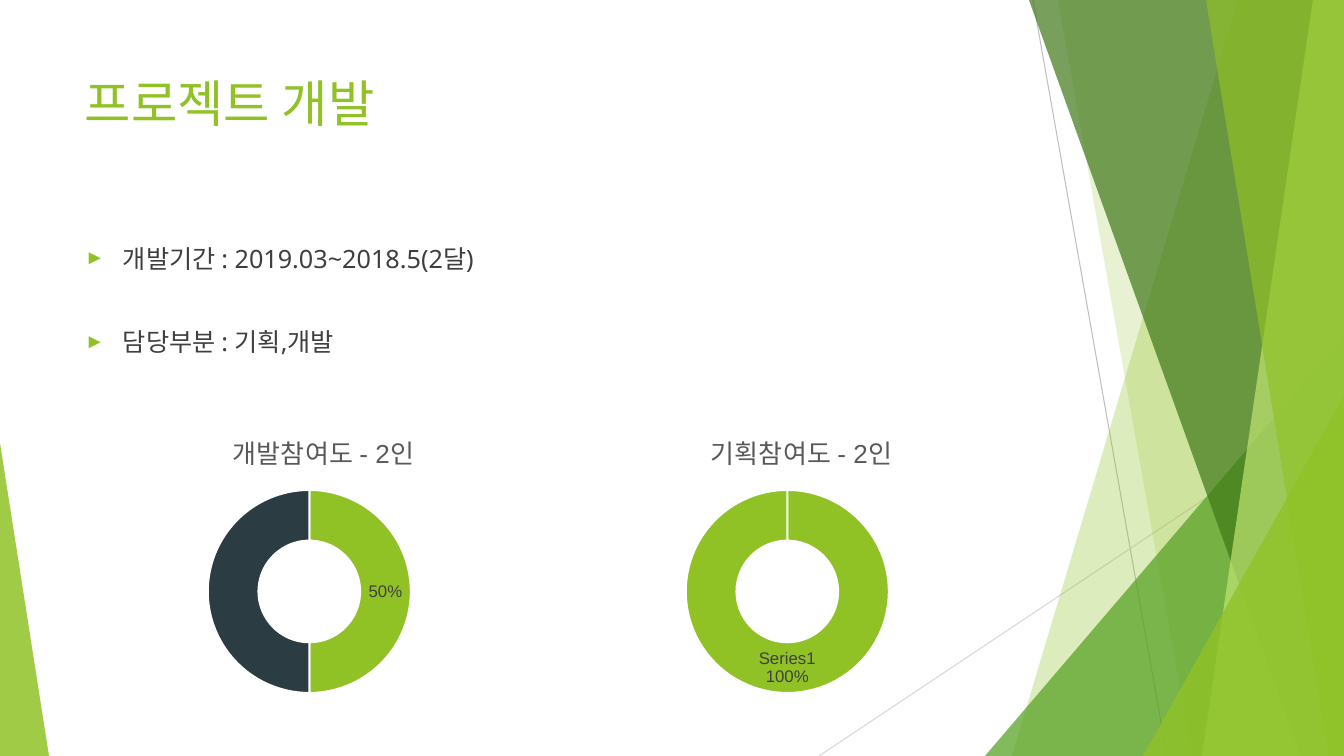
from lxml import etree
from pptx import Presentation
from pptx.chart.data import CategoryChartData
from pptx.dml.color import RGBColor
from pptx.enum.chart import XL_CHART_TYPE
from pptx.enum.shapes import MSO_CONNECTOR, MSO_SHAPE
from pptx.oxml import parse_xml
from pptx.oxml.ns import nsdecls, qn
from pptx.util import Emu, Pt

DOUGHNUT = XL_CHART_TYPE.DOUGHNUT
STRAIGHT = MSO_CONNECTOR.STRAIGHT
TRIANGLE = MSO_SHAPE.ISOSCELES_TRIANGLE

LIME = RGBColor(0x90, 0xC2, 0x26)
PALE_LIME = RGBColor(0xBF, 0xE4, 0x71)
GREEN = RGBColor(0x54, 0xA0, 0x21)
DARK_GREEN = RGBColor(0x3F, 0x78, 0x18)
SLATE = RGBColor(0x2C, 0x3C, 0x43)
WHITE = RGBColor(0xFF, 0xFF, 0xFF)
BODY_GRAY = RGBColor(0x3F, 0x3F, 0x3F)
LABEL_GRAY = RGBColor(0x40, 0x40, 0x40)
TITLE_GRAY = RGBColor(0x59, 0x59, 0x59)
LINE_GRAY = RGBColor(0xBF, 0xBF, 0xBF)
LIGHT_GRAY = RGBColor(0xD8, 0xD8, 0xD8)

TEXT_FONT = "Noto Sans"
CHART_FONT = "Arial"
SLIDE_WIDTH, SLIDE_HEIGHT = 1344, 756
EMU_PER_PIXEL = 914400 / 100.8


def px(pixels):
    """Turn pixels into EMU."""
    return Emu(round(pixels * EMU_PER_PIXEL))


def set_font(font, name, size, color):
    """Set the typeface, point size and colour of a font."""
    font.name, font.size = name, Pt(size)
    font.color.rgb = color


def add_text(slide, box, lines, size, color, bullet=None, gap=0):
    """Add a text box with one paragraph per line, bulleted on request."""
    frame = slide.shapes.add_textbox(*map(px, box)).text_frame
    frame.word_wrap = True
    for index, line in enumerate(lines):
        paragraph = frame.paragraphs[0] if index == 0 else frame.add_paragraph()
        paragraph.space_before = Pt(gap if index else 0)
        run = paragraph.add_run()
        run.text = line
        set_font(run.font, TEXT_FONT, size, color)
        if bullet:
            properties = paragraph._p.get_or_add_pPr()
            properties.set("marL", str(px(38)))
            properties.set("indent", str(-px(38)))
            bullet_color = etree.SubElement(properties, qn("a:buClr"))
            etree.SubElement(bullet_color, qn("a:srgbClr")).set("val", str(LIME))
            etree.SubElement(properties, qn("a:buSzPct")).set("val", "80000")
            etree.SubElement(properties, qn("a:buFont")).set("typeface", CHART_FONT)
            etree.SubElement(properties, qn("a:buChar")).set("char", bullet)


def paint(shape, color, opacity):
    """Give a shape a translucent fill without line or shadow."""
    shape.shadow.inherit = False
    shape.line.fill.background()
    shape.fill.solid()
    shape.fill.fore_color.rgb = color
    fill_color = shape.fill._xPr.find(".//" + qn("a:srgbClr"))
    etree.SubElement(fill_color, qn("a:alpha")).set("val", str(opacity * 1000))


def add_line(slide, start, end, color):
    """Add a thin straight line."""
    line = slide.shapes.add_connector(STRAIGHT, *map(px, start + end))
    line.line.color.rgb = color
    line.line.width = Pt(0.75)
    etree.SubElement(line._element.spPr, qn("a:effectLst"))


def add_triangle(slide, box, apex, color, opacity):
    """Add a triangle whose apex sits at a fraction of its width."""
    triangle = slide.shapes.add_shape(TRIANGLE, *map(px, box))
    triangle.adjustments[0] = apex
    paint(triangle, color, opacity)


def add_facets(slide, box):
    """Layer the green facets and thin lines against the right edge of the box."""
    left, top, width, height = box
    right, bottom = left + width, top + height

    def band(top_x, bottom_x, color, opacity):
        """Fill from a slanted left side to the right edge."""
        builder = slide.shapes.build_freeform(left + top_x, top, scale=EMU_PER_PIXEL)
        builder.add_line_segments(
            [(right, top), (right, bottom), (left + bottom_x, bottom)], close=True)
        paint(builder.convert_to_shape(), color, opacity)

    def corner(x, y, color, opacity):
        """Fill the lower right corner with a triangle."""
        add_triangle(slide, (left + x, top + y, width - x, height - y), 1, color, opacity)

    add_line(slide, (left + 214, top), (left + 348, bottom), LINE_GRAY)
    add_line(slide, (right, top + 406), (left, bottom), LIGHT_GRAY)
    band(419, 193, LIME, 30)
    band(239, 373, LIME, 20)
    corner(166, 336, GREEN, 72)
    band(210, 482, DARK_GREEN, 70)
    band(494, 383, PALE_LIME, 70)
    band(387, 510, LIME, 65)
    corner(324, 396, LIME, 80)


def add_share_chart(slide, box, title, categories, values):
    """Add a titled doughnut that labels only its first slice."""
    data = CategoryChartData()
    data.categories = categories
    data.add_series(title, values)
    chart = slide.shapes.add_chart(DOUGHNUT, *map(px, box), data).chart
    set_font(chart.font, CHART_FONT, 10, RGBColor(0, 0, 0))
    chart.has_legend = False
    chart.has_title = True
    chart.chart_title.include_in_layout = False
    run = chart.chart_title.text_frame.paragraphs[0].add_run()
    run.text = title
    set_font(run.font, CHART_FONT, 18.6, TITLE_GRAY)
    run.font.bold = False

    plot = chart.plots[0]
    plot.vary_by_categories = True
    plot._element.find(qn("c:holeSize")).set("val", "75")
    series = plot.series[0]
    for index, color in enumerate((LIME, SLATE)):
        slice_format = series.points[index].format
        slice_format.fill.solid()
        slice_format.fill.fore_color.rgb = color
        slice_format.line.color.rgb = WHITE
        slice_format.line.width = Pt(1.5)

    labels = series.data_labels
    set_font(labels.font, CHART_FONT, 12, LABEL_GRAY)
    labels.show_value = False
    labels.show_percentage = True
    labels.show_category_name = any(categories)
    element = labels._element
    element.insert(0, parse_xml(
        f'<c:dLbl {nsdecls("c")}><c:idx val="1"/><c:delete val="1"/></c:dLbl>'))
    separator = parse_xml(f'<c:separator {nsdecls("c")}>\n</c:separator>')
    element.find(qn("c:showPercent")).getparent().find(
        qn("c:showBubbleSize")).addnext(separator)

    area = chart._chartSpace.chart.plotArea
    for layout in area.findall(qn("c:layout")):
        area.remove(layout)
    places = zip("xywh", (0.238, 0.263, 0.468, 0.703))
    sizes = "".join(f'<c:{name} val="{value}"/>' for name, value in places)
    area.insert(0, parse_xml(
        f'<c:layout {nsdecls("c")}><c:manualLayout><c:layoutTarget val="inner"/>'
        f'<c:xMode val="edge"/><c:yMode val="edge"/>{sizes}'
        '</c:manualLayout></c:layout>'))


def add_project_slide(presentation):
    """Build the project development slide."""
    slide = presentation.slides.add_slide(presentation.slide_layouts[6])
    add_facets(slide, (819, 0, SLIDE_WIDTH - 819, SLIDE_HEIGHT))
    add_triangle(slide, (0, 443, 49, SLIDE_HEIGHT - 443), 0, LIME, 85)
    add_text(slide, (75, 67, 948, 145), ["프로젝트 개발"], 36, LIME)
    add_text(slide, (75, 238, 948, 160),
             ["개발기간 : 2019.03~2018.5(2달)", "담당부분 : 기획,개발"],
             18, BODY_GRAY, bullet="►", gap=38)
    charts = (("개발참여도 - 2인", ("", ""), (50, 50)),
              ("기획참여도 - 2인", ("Series1", ""), (100, 0)))
    for index, chart in enumerate(charts):
        add_share_chart(slide, (71 + 478 * index, 414, 505, 289), *chart)


presentation = Presentation()
presentation.slide_width, presentation.slide_height = px(SLIDE_WIDTH), px(SLIDE_HEIGHT)
add_project_slide(presentation)
presentation.save("out.pptx")
